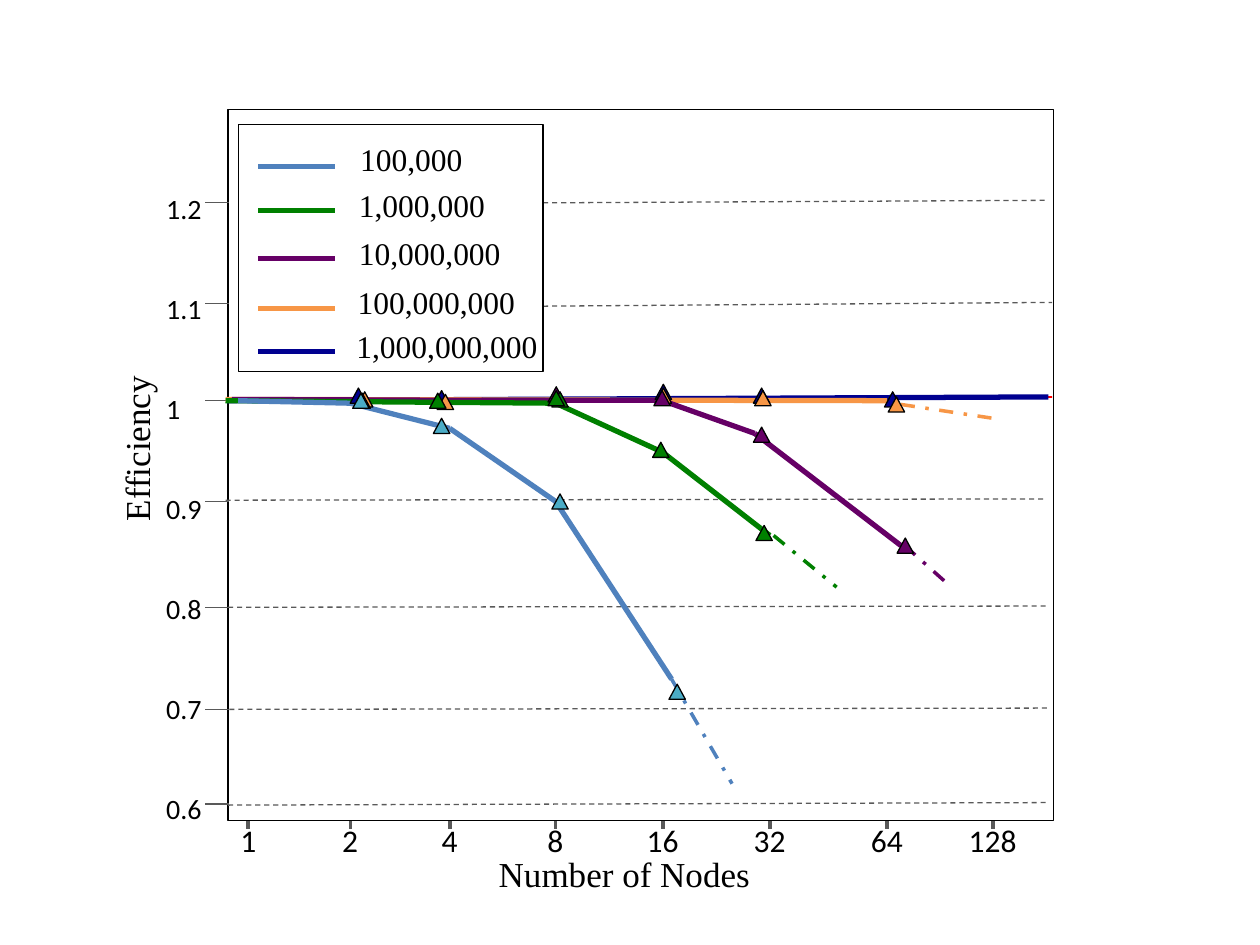
from dataclasses import dataclass
from itertools import pairwise

from lxml.etree import SubElement
from pptx import Presentation
from pptx.dml.color import RGBColor
from pptx.enum.dml import MSO_LINE_DASH_STYLE as Dash
from pptx.enum.shapes import MSO_CONNECTOR_TYPE as Connector, MSO_SHAPE as Shape
from pptx.enum.text import MSO_ANCHOR as Anchor
from pptx.oxml.ns import qn
from pptx.util import Inches, Pt

BLACK = RGBColor(0x00, 0x00, 0x00)
GREY = RGBColor(0x59, 0x59, 0x59)
RED = RGBColor(0xFF, 0x00, 0x00)
BLUE = RGBColor(0x4F, 0x81, 0xBD)
TEAL = RGBColor(0x4B, 0xAC, 0xC6)
GREEN = RGBColor(0x00, 0x80, 0x00)
PURPLE = RGBColor(0x66, 0x00, 0x66)
ORANGE = RGBColor(0xF7, 0x96, 0x46)
NAVY = RGBColor(0x00, 0x00, 0x90)
SERIF = "Times New Roman"
SANS = "Calibri"

Point = tuple[float, float]


@dataclass
class Series:
    """One curve with its legend entry, markers and dash-dot tail."""
    name: str
    color: RGBColor
    marker_color: RGBColor
    key_y: float
    label_box: tuple[float, float, float]
    points: list[Point]
    markers: list[Point]
    tail: tuple[Point, ...] = ()


@dataclass
class Level:
    """One value on the efficiency axis: its tick and its grid line."""
    label: str
    tick_y: float
    grid: tuple[Point, ...] = ()


SERIES = [
    Series("100,000", BLUE, TEAL, 1.32, (2.76, 1.06, 1.02),
           [(1.89, 3.18), (2.78, 3.2), (3.57, 3.4), (4.41, 3.98), (5.33, 5.39)],
           [(2.8, 3.12), (3.44, 3.32), (4.38, 3.92), (5.31, 5.43)],
           ((5.33, 5.39), (5.81, 6.22))),
    Series("1,000,000", GREEN, GREEN, 1.67, (2.75, 1.43, 1.21),
           [(1.79, 3.18), (4.41, 3.2), (5.26, 3.59), (6.11, 4.25)],
           [(4.38, 3.11), (3.41, 3.12), (4.35, 3.1), (5.18, 3.51), (6, 4.17)],
           ((6.14, 4.25), (6.64, 4.66))),
    Series("10,000,000", PURPLE, PURPLE, 2.05, (2.75, 1.81, 1.34),
           [(1.84, 3.17), (4.41, 3.18), (5.26, 3.18), (5.99, 3.44), (7.15, 4.33)],
           [(2.81, 3.12), (4.35, 3.07), (5.19, 3.1), (5.98, 3.39), (7.12, 4.27)],
           ((7.18, 4.33), (7.55, 4.66))),
    Series("100,000,000", ORANGE, ORANGE, 2.45, (2.74, 2.2, 1.46),
           [(1.79, 3.17), (7.04, 3.18)],
           [(2.83, 3.11), (3.47, 3.13), (5.2, 3.08), (5.99, 3.1), (7.05, 3.15)],
           ((7.15, 3.21), (7.88, 3.32))),
    Series("1,000,000,000", NAVY, NAVY, 2.79, (2.73, 2.55, 1.65),
           [(1.8, 3.18), (8.32, 3.15)],
           [(2.78, 3.08), (3.44, 3.1), (5.2, 3.05), (5.98, 3.08), (7.02, 3.11)]),
]
LEVELS = [
    Level("1.2", 1.61, ((4.31, 1.61), (8.3, 1.59))),
    Level("1.1", 2.41, ((4.31, 2.43), (8.35, 2.4))),
    Level("1", 3.18),
    Level("0.9", 3.98, ((1.79, 3.97), (8.3, 3.96))),
    Level("0.8", 4.82, ((1.81, 4.82), (8.32, 4.81))),
    Level("0.7", 5.63, ((1.82, 5.63), (8.34, 5.62))),
    Level("0.6", 6.38, ((1.81, 6.39), (8.32, 6.37))),
]
NODE_TICKS = [1.97, 2.78, 3.57, 4.41, 5.26, 6.11, 7.04, 7.88]
NODE_TEXT_LEFT = 1.91


def add_text(page, text: str, left: float, top: float, width: float, height: float, *,
             size: float, font: str = SERIF, wrap: bool = False, rotation: float = 0,
             anchor=Anchor.TOP, gap: float = 0):
    """Add a text box with one paragraph per line of text."""
    box = page.shapes.add_textbox(Inches(left), Inches(top), Inches(width), Inches(height))
    box.rotation = rotation
    frame = box.text_frame
    frame.word_wrap = wrap
    frame.vertical_anchor = anchor
    for index, line in enumerate(text.split("\n")):
        para = frame.add_paragraph() if index else frame.paragraphs[0]
        para.space_before = Pt(gap if index else 0)
        span = para.add_run()
        span.text = line
        span.font.name = font
        span.font.size = Pt(size)
        span.font.color.rgb = BLACK
    return box


def add_line(page, start: Point, end: Point, color: RGBColor, weight: float, dash=None) -> None:
    """Add a straight line without a shadow."""
    line = page.shapes.add_connector(Connector.STRAIGHT, *map(Inches, (*start, *end)))
    line.line.color.rgb = color
    line.line.width = Pt(weight)
    if dash:
        line.line.dash_style = dash
    SubElement(line._element.spPr, qn("a:effectLst"))


def add_outlined(page, kind, left: float, top: float, width: float, height: float,
                 fill: RGBColor | None = None) -> None:
    """Add a thin black outlined shape, filled when a colour is given."""
    shape = page.shapes.add_shape(kind, *map(Inches, (left, top, width, height)))
    shape.shadow.inherit = False
    shape.line.color.rgb = BLACK
    shape.line.width = Pt(0.75)
    if fill is None:
        shape.fill.background()
    else:
        shape.fill.solid()
        shape.fill.fore_color.rgb = fill


def add_center_tabs(box, positions: list[float]) -> None:
    """Set centred tab stops on the first paragraph of a box."""
    properties = box.text_frame.paragraphs[0]._p.get_or_add_pPr()
    tabs = SubElement(properties, qn("a:tabLst"))
    for position in positions:
        SubElement(tabs, qn("a:tab"), pos=str(Inches(position)), algn="ctr")


def draw_axes(page) -> None:
    """Draw the frame, axis labels, ticks and grid lines."""
    add_outlined(page, Shape.RECTANGLE, 1.81, 0.87, 6.55, 5.64)
    nodes = "\t".join(str(2 ** power) for power in range(len(NODE_TICKS)))
    node_box = add_text(page, nodes, 1.81, 6.47, 6.52, 0.4, size=18, font=SANS, wrap=True)
    add_center_tabs(node_box, [x - NODE_TEXT_LEFT for x in NODE_TICKS[1:]])
    add_text(page, "\n".join(level.label for level in LEVELS), 1.22, 0.58, 0.49, 6.02,
             size=16, font=SANS, anchor=Anchor.BOTTOM, gap=38)
    add_text(page, "Efficiency", 0.18, 3.11, 1.81, 0.44, size=20, wrap=True, rotation=270)
    add_text(page, "Number of Nodes", 3.86, 6.72, 2.23, 0.44, size=20)
    for x in NODE_TICKS:
        add_line(page, (x, 6.52), (x, 6.58), GREY, 2)
    for level in LEVELS:
        add_line(page, (1.63, level.tick_y), (1.82, level.tick_y), GREY, 0.75)
        if level.grid:
            add_line(page, *level.grid, GREY, 0.75, Dash.DASH)
    add_line(page, (1.84, 3.17), (8.35, 3.15), RED, 1, Dash.DASH)


def draw_legend(page) -> None:
    """Draw the legend frame with a key and a label per series."""
    add_outlined(page, Shape.RECTANGLE, 1.89, 0.99, 2.42, 1.96)
    for series in SERIES:
        add_line(page, (2.05, series.key_y), (2.66, series.key_y), series.color, 3)
        add_text(page, series.name, *series.label_box, 0.4, size=18)


def draw_curves(page) -> None:
    """Draw all curves, then their markers, with the smallest series in front."""
    back_to_front = SERIES[::-1]
    for series in back_to_front:
        for start, end in pairwise(series.points):
            add_line(page, start, end, series.color, 3)
        if series.tail:
            add_line(page, *series.tail, series.color, 2, Dash.DASH_DOT)
    for series in back_to_front:
        for left, top in series.markers:
            add_outlined(page, Shape.ISOSCELES_TRIANGLE, left, top, 0.13, 0.12,
                         series.marker_color)


deck = Presentation()
deck.slide_width, deck.slide_height = Inches(10), Inches(7.5)
page = deck.slides.add_slide(deck.slide_layouts[6])
draw_axes(page)
draw_legend(page)
draw_curves(page)
deck.save("out.pptx")
